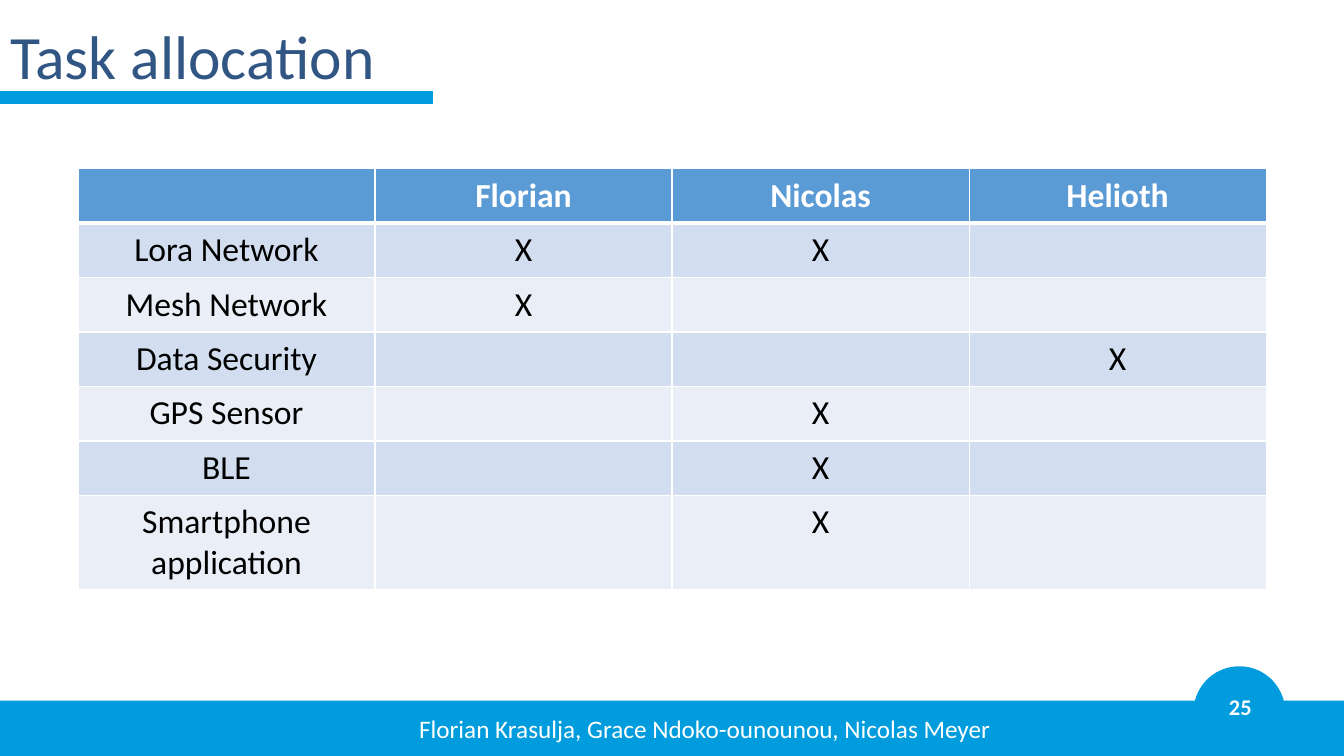
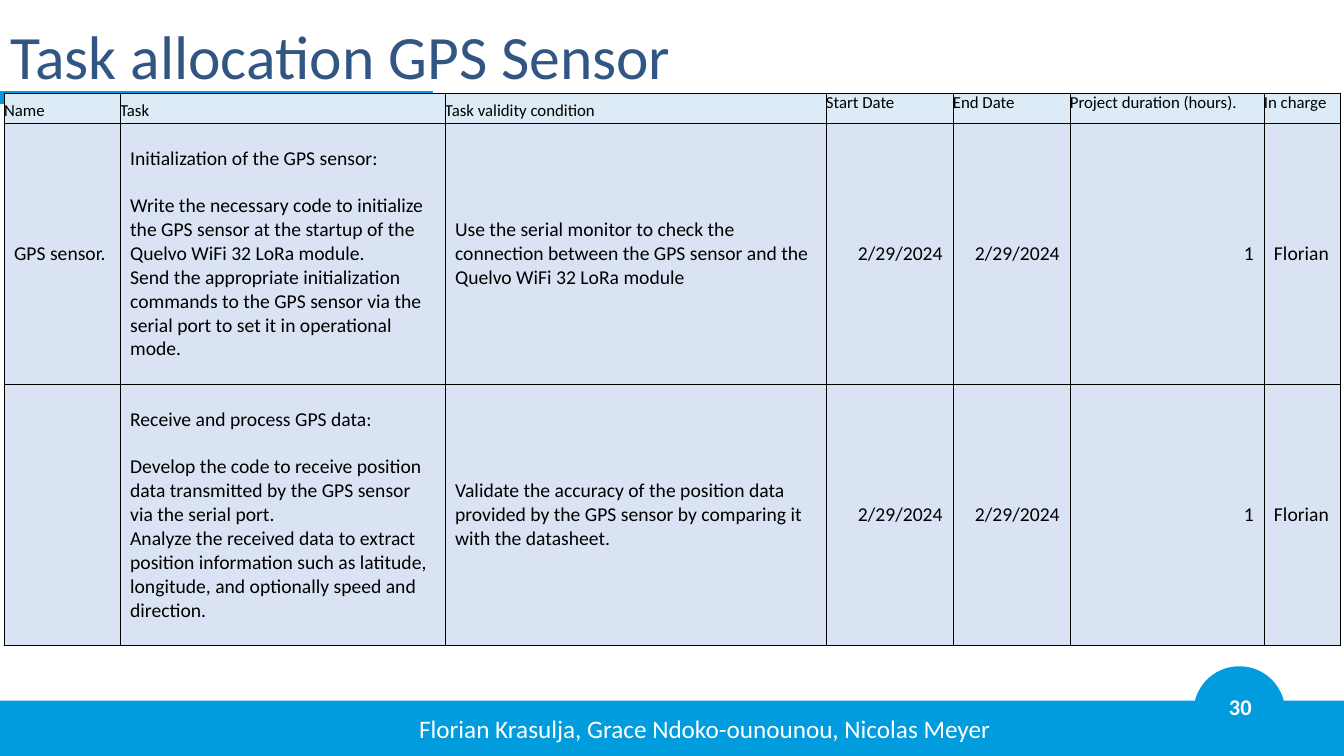
from dataclasses import dataclass

from lxml.etree import SubElement as Sub
from pptx import Presentation as Deck
from pptx.dml.color import RGBColor as Rgb
from pptx.enum.shapes import MSO_CONNECTOR as Link, MSO_SHAPE as Form
from pptx.enum.text import MSO_ANCHOR as Anchor, PP_ALIGN as Align
from pptx.oxml.ns import qn
from pptx.util import Pt


@dataclass(frozen=True)
class Theme:
    """Colours, type sizes and font of the deck."""
    font: str = "Calibri"
    blue: str = "009CDD"
    navy: str = "315683"
    white: str = "FFFFFF"
    black: str = "000000"
    head: str = "5B9BD5"
    bands: tuple = ("D2DEEF", "EAEFF7")
    plan_head: str = "DDEBF7"
    plan_row: str = "DAE3F3"
    title: int = 44
    grid: int = 24
    foot: int = 18
    page: int = 16
    plan: int = 14
    label: int = 12


T = Theme()
AUTHORS = "Florian Krasulja, Grace Ndoko-ounounou, Nicolas Meyer"
PEOPLE = ("Florian", "Nicolas", "Helioth")
TASKS = (
    ("Lora Network", "Florian", "Nicolas"),
    ("Mesh Network", "Florian"),
    ("Data Security", "Helioth"),
    ("GPS Sensor", "Nicolas"),
    ("BLE", "Nicolas"),
    ("Smartphone application", "Nicolas"),
)
HEADS = ("Name", "Task", "Task validity condition", "Start Date", "End Date",
         "Project duration (hours).", "In charge")
DAY = "2/29/2024"
PLAN = (
    ("GPS sensor.",
     "Initialization of the GPS sensor:\n"
     "Write the necessary code to initialize the GPS sensor at the startup "
     "of the Quelvo WiFi 32 LoRa module.\n"
     "Send the appropriate initialization commands to the GPS sensor via the "
     "serial port to set it in operational mode.",
     "Use the serial monitor to check the connection between the GPS sensor "
     "and the Quelvo WiFi 32 LoRa module",
     DAY, DAY, "1", "Florian"),
    ("",
     "Receive and process GPS data:\n"
     "Develop the code to receive position data transmitted by the GPS sensor "
     "via the serial port.\n"
     "Analyze the received data to extract position information such as "
     "latitude, longitude, and optionally speed and direction.",
     "Validate the accuracy of the position data provided by the GPS sensor "
     "by comparing it with the datasheet.",
     DAY, DAY, "1", "Florian"),
)


def pts(*nums):
    """Turn numbers into point lengths."""
    return [Pt(n) for n in nums]


def write(frame, text, size, tint, bold=False, align=Align.LEFT):
    """Set the text of a frame and format its runs."""
    frame.text = text
    frame.word_wrap = True
    for para in frame.paragraphs:
        para.alignment = align
        for run in para.runs:
            font = run.font
            font.name, font.size, font.bold = T.font, Pt(size), bold
            font.color.rgb = Rgb.from_string(tint)


def block(slide, form, *box):
    """Add a plain blue shape."""
    shape = slide.shapes.add_shape(form, *pts(*box))
    shape.shadow.inherit = False
    shape.fill.solid()
    shape.fill.fore_color.rgb = Rgb.from_string(T.blue)
    shape.line.fill.background()


def label(slide, box, *args, **style):
    """Add a text box."""
    write(slide.shapes.add_textbox(*pts(*box)).text_frame, *args, **style)


def rule(slide, end, y, width):
    """Add the blue line under the title."""
    line = slide.shapes.add_connector(Link.STRAIGHT, *pts(0, y, end, y))
    line.line.color.rgb = Rgb.from_string(T.blue)
    line.line.width = Pt(width)
    Sub(line._element.spPr, qn("a:effectLst"))


def page(deck, title, number):
    """Add a slide with its title, band, authors and number."""
    slide = deck.slides.add_slide(deck.slide_layouts[5])
    block(slide, Form.RECTANGLE, 0, 500.4, 960, 39.6)
    block(slide, Form.OVAL, 852.5, 475.9, 65.5, 65.5)
    label(slide, (857.5, 491.8, 56.9, 23.8), str(number), T.page, T.white,
          bold=True, align=Align.CENTER)
    rule(slide, 309.6, 69.8, 9)
    label(slide, (292.3, 506.2, 482.4, 28.8), AUTHORS, T.foot, T.white)
    head = slide.shapes.title
    head.left, head.top, head.width, head.height = pts(0, 0, 828, 85)
    write(head.text_frame, title, T.title, T.navy)
    head.text_frame.vertical_anchor = Anchor.MIDDLE
    head.text_frame.paragraphs[0].line_spacing = 0.9
    return slide


def grid(slide, left, top, cols, rows):
    """Add a bare table with the given column and row sizes."""
    box = pts(left, top, sum(cols), sum(rows))
    table = slide.shapes.add_table(len(rows), len(cols), *box).table
    table.first_row = table.horz_banding = False
    for col, width in zip(table.columns, cols):
        col.width = Pt(width)
    for row, height in zip(table.rows, rows):
        row.height = Pt(height)
    return table


def edge(cell, tint, widths):
    """Draw the left, right, top and bottom borders of a cell."""
    props = cell._tc.get_or_add_tcPr()
    for side, width in zip("LRTB", widths):
        line = Sub(props, qn(f"a:ln{side}"), w=str(int(Pt(width))))
        Sub(Sub(line, qn("a:solidFill")), qn("a:srgbClr"), val=tint)


def paint(cell, fill, pads, anchor=Anchor.TOP):
    """Set the fill, margins and anchor of a cell."""
    cell.fill.solid()
    cell.fill.fore_color.rgb = Rgb.from_string(fill)
    (cell.margin_left, cell.margin_top,
     cell.margin_right, cell.margin_bottom) = pts(*pads)
    cell.vertical_anchor = anchor


def share(slide):
    """Add the table of who does what."""
    table = grid(slide, 55.7, 120.5, [212.2] * 4, [38.9] * 6 + [67])
    marks = [["X" if name in who else "" for name in PEOPLE]
             for _, *who in TASKS]
    lines = [("", *PEOPLE)] + [(task[0], *row)
                               for task, row in zip(TASKS, marks)]
    for r, line in enumerate(lines):
        top = r == 0
        fill = T.head if top else T.bands[(r - 1) % 2]
        for c, text in enumerate(line):
            cell = table.cell(r, c)
            edge(cell, T.white, (1, 1, 3 if r == 1 else 1, 3 if top else 1))
            paint(cell, fill, (9.6, 4.7, 9.6, 4.7))
            write(cell.text_frame, text, T.grid, T.white if top else T.black,
                  bold=top, align=Align.CENTER)


def plan(slide):
    """Add the table of tasks with checks, dates and hours."""
    cols = (82.9, 232.1, 272.1, 90.7, 83.6, 138.6, 54.3)
    table = grid(slide, 2.9, 66.4, cols, (21.6, 186.6, 186.6))
    for r, line in enumerate((HEADS, *PLAN)):
        for c, text in enumerate(line):
            cell = table.cell(r, c)
            edge(cell, T.black, [0.5] * 4)
            if r == 0:
                paint(cell, T.plan_head, (0, 0, 0, 1.2),
                      Anchor.BOTTOM if c < 3 else Anchor.TOP)
                write(cell.text_frame, text, T.label, T.black)
                continue
            paint(cell, T.plan_row, (7.2, 3.6, 7.2, 3.6), Anchor.MIDDLE)
            write(cell.text_frame, text, T.plan, T.black,
                  align=Align.RIGHT if c in (3, 4, 5) else Align.LEFT)
            if c == 1:
                cell.text_frame.paragraphs[0].space_after = Pt(17)


def main():
    """Build and save the deck."""
    deck = Deck()
    deck.slide_width, deck.slide_height = pts(960, 540)
    share(page(deck, "Task allocation", 25))
    plan(page(deck, "Task allocation GPS Sensor", 30))
    deck.save("out.pptx")


if __name__ == "__main__":
    main()
